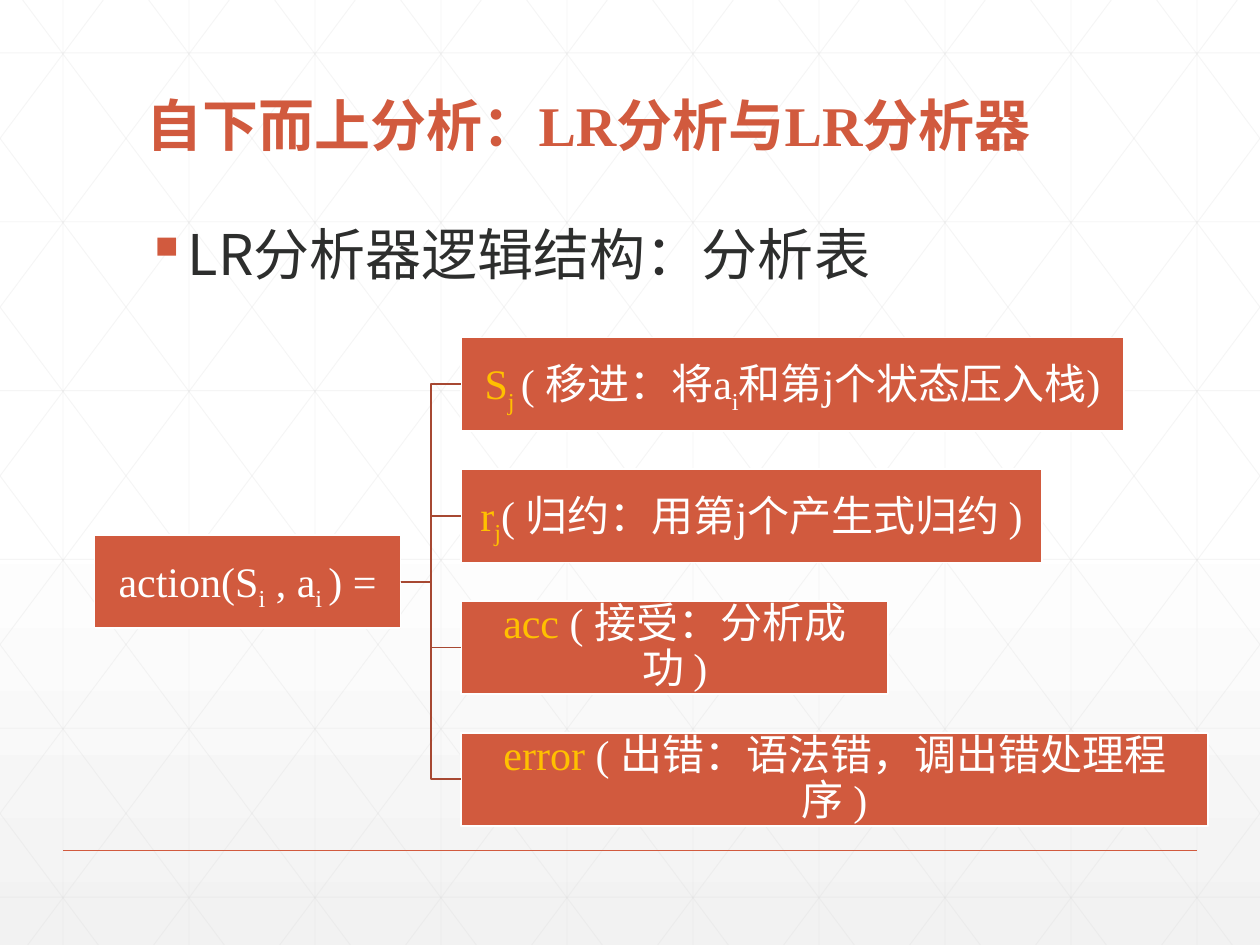
from copy import deepcopy
from dataclasses import dataclass

from lxml.etree import SubElement
from pptx import Presentation
from pptx.dml.color import RGBColor
from pptx.enum.shapes import MSO_CONNECTOR, MSO_SHAPE
from pptx.enum.text import MSO_ANCHOR, MSO_AUTO_SIZE, PP_ALIGN
from pptx.oxml.ns import qn
from pptx.util import Inches, Pt


@dataclass(frozen=True)
class Theme:
    accent: RGBColor = RGBColor(0xD1, 0x5A, 0x3E)
    branch: RGBColor = RGBColor(0xA7, 0x48, 0x32)
    text: RGBColor = RGBColor(0x2D, 0x2E, 0x2D)
    white: RGBColor = RGBColor(0xFF, 0xFF, 0xFF)
    gold: RGBColor = RGBColor(0xFF, 0xC0, 0x00)
    grid: RGBColor = RGBColor(0xD9, 0xD9, 0xD9)
    shade: RGBColor = RGBColor(0xF2, 0xF2, 0xF2)
    serif: str = "Times New Roman"
    sans: str = "Noto Sans CJK SC"
    heading_size: Pt = Pt(32)
    box_size: Pt = Pt(24)


theme = Theme()


def style_connector(connector, color, width):
    connector.line.color.rgb = color
    connector.line.width = Pt(width)
    SubElement(connector._element.spPr, qn("a:effectLst"))


def style_run(run, font_name, size, color):
    run.font.name = font_name
    run.font.size = size
    run.font.color.rgb = color
    SubElement(run._r.get_or_add_rPr(), qn("a:ea"), typeface=theme.sans)


presentation = Presentation()
presentation.slide_width = Inches(10)
presentation.slide_height = Inches(7.5)
slide = presentation.slides.add_slide(presentation.slide_layouts[5])

# Background: white fading to grey at the bottom
fill = slide.background.fill
fill.gradient()
fill.gradient_angle = 270
last_stop = fill.gradient_stops[1]._gs
last_stop.addnext(deepcopy(last_stop))
stop_values = [(0, theme.white), (0.53, theme.white), (1, theme.shade)]
for stop, (position, color) in zip(fill.gradient_stops, stop_values):
    stop.position = position
    stop.color.rgb = color
SubElement(stop._gs[0], qn("a:alpha"), val="65000")

# Background grid: verticals, horizontals and mirrored diagonals
grid_lines = [(0.5 + column, 0, 0.5 + column, 7.5) for column in range(10)]
grid_lines += [(0, 0.42 + 1.34 * row, 10, 0.42 + 1.34 * row) for row in range(6)]
diagonal_run = 5.6
slope = 7.5 / diagonal_run
for step in range(-5, 10):
    top_x = 0.18 + step
    start_x = max(top_x, 0)
    end_x = min(top_x + diagonal_run, 10)
    start_y, end_y = (start_x - top_x) * slope, (end_x - top_x) * slope
    grid_lines.append((start_x, start_y, end_x, end_y))
    grid_lines.append((10 - start_x, start_y, 10 - end_x, end_y))

grid = slide.shapes.add_group_shape()
for ends in grid_lines:
    grid_line = grid.shapes.add_connector(MSO_CONNECTOR.STRAIGHT, *map(Inches, ends))
    style_connector(grid_line, theme.grid, 0.5)
    grid_color = grid_line._element.spPr.find(".//" + qn("a:srgbClr"))
    SubElement(grid_color, qn("a:alpha"), val="25000")

# Footer rule
footer_rule = slide.shapes.add_connector(
    MSO_CONNECTOR.STRAIGHT, Inches(0.5), Inches(6.75), Inches(9.5), Inches(6.75))
style_connector(footer_rule, theme.accent, 1)

# Title, brought in front of the grid
title = slide.shapes.title
slide.shapes._spTree.append(title._element)
title.left, title.top = Inches(1.06), Inches(0.55)
title.width, title.height = Inches(7.88), Inches(0.76)
title.text_frame.text = "自下而上分析：LR分析与LR分析器"
title.text_frame.auto_size = MSO_AUTO_SIZE.NONE
title.text_frame.vertical_anchor = MSO_ANCHOR.BOTTOM
paragraph = title.text_frame.paragraphs[0]
paragraph.alignment = PP_ALIGN.LEFT
paragraph.line_spacing = 0.9
style_run(paragraph.runs[0], theme.serif, theme.heading_size, theme.accent)
paragraph.runs[0].font.bold = True

# Bulleted heading
heading = slide.shapes.add_textbox(Inches(1.06), Inches(1.75), Inches(7.88), Inches(0.8))
heading.text_frame.word_wrap = True
heading.text_frame.text = "LR分析器逻辑结构：分析表"
paragraph = heading.text_frame.paragraphs[0]
paragraph.line_spacing = 0.9
paragraph.space_before = Pt(18)
style_run(paragraph.runs[0], theme.sans, theme.heading_size, theme.text)
properties = paragraph._p.get_or_add_pPr()
properties.set("marL", str(Inches(0.25)))
properties.set("indent", str(-Inches(0.25)))
bullet_color = SubElement(properties, qn("a:buClr"))
SubElement(bullet_color, qn("a:srgbClr"), val=str(theme.accent))
SubElement(properties, qn("a:buChar"), char="▪")

# Action tree: each run is text, colour, subscript
box_height = 0.74
branch_left, branch_top, branch_pitch = 3.66, 2.68, 1.045
root_top = branch_top + 1.5 * branch_pitch
root_runs = [
    ("action(S", theme.white, False), ("i", theme.white, True),
    (" , a", theme.white, False), ("i ", theme.white, True),
    (") =", theme.white, False),
]
branches = [
    (5.26, [("S", theme.gold, False), ("j ", theme.gold, True),
            ("( 移进：将a", theme.white, False), ("i", theme.white, True),
            ("和第j个状态压入栈)", theme.white, False)]),
    (4.61, [("r", theme.gold, False), ("j", theme.gold, True),
            ("( 归约：用第j个产生式归约 )", theme.white, False)]),
    (3.39, [("acc ", theme.gold, False), ("( 接受：分析成功 )", theme.white, False)]),
    (5.93, [("error ", theme.gold, False),
            ("( 出错：语法错，调出错处理程序 )", theme.white, False)]),
]
nodes = [(0.75, root_top, 2.43, root_runs)]
for row, (width, runs) in enumerate(branches):
    nodes.append((branch_left, branch_top + row * branch_pitch, width, runs))

boxes = []
for left, top, width, runs in nodes:
    box = slide.shapes.add_shape(
        MSO_SHAPE.RECTANGLE, Inches(left), Inches(top), Inches(width), Inches(box_height))
    box.shadow.inherit = False
    box.fill.solid()
    box.fill.fore_color.rgb = theme.accent
    box.line.color.rgb = theme.white
    box.line.width = Pt(1)
    frame = box.text_frame
    frame.word_wrap = True
    frame.vertical_anchor = MSO_ANCHOR.MIDDLE
    frame.margin_left = frame.margin_right = Inches(0.1)
    frame.margin_top = frame.margin_bottom = Inches(0.02)
    paragraph = frame.paragraphs[0]
    paragraph.alignment = PP_ALIGN.CENTER
    paragraph.line_spacing = 0.9
    for text, color, subscript in runs:
        run = paragraph.add_run()
        run.text = text
        style_run(run, theme.serif, theme.box_size, color)
        if subscript:
            run._r.get_or_add_rPr().set("baseline", "-25000")
    boxes.append(box)

# Elbows from the root to every branch
root, *branch_boxes = boxes
for box in branch_boxes:
    elbow = slide.shapes.add_connector(MSO_CONNECTOR.ELBOW, 0, 0, 0, 0)
    elbow.begin_connect(root, 3)
    elbow.end_connect(box, 1)
    style_connector(elbow, theme.branch, 1)

presentation.save("out.pptx")
